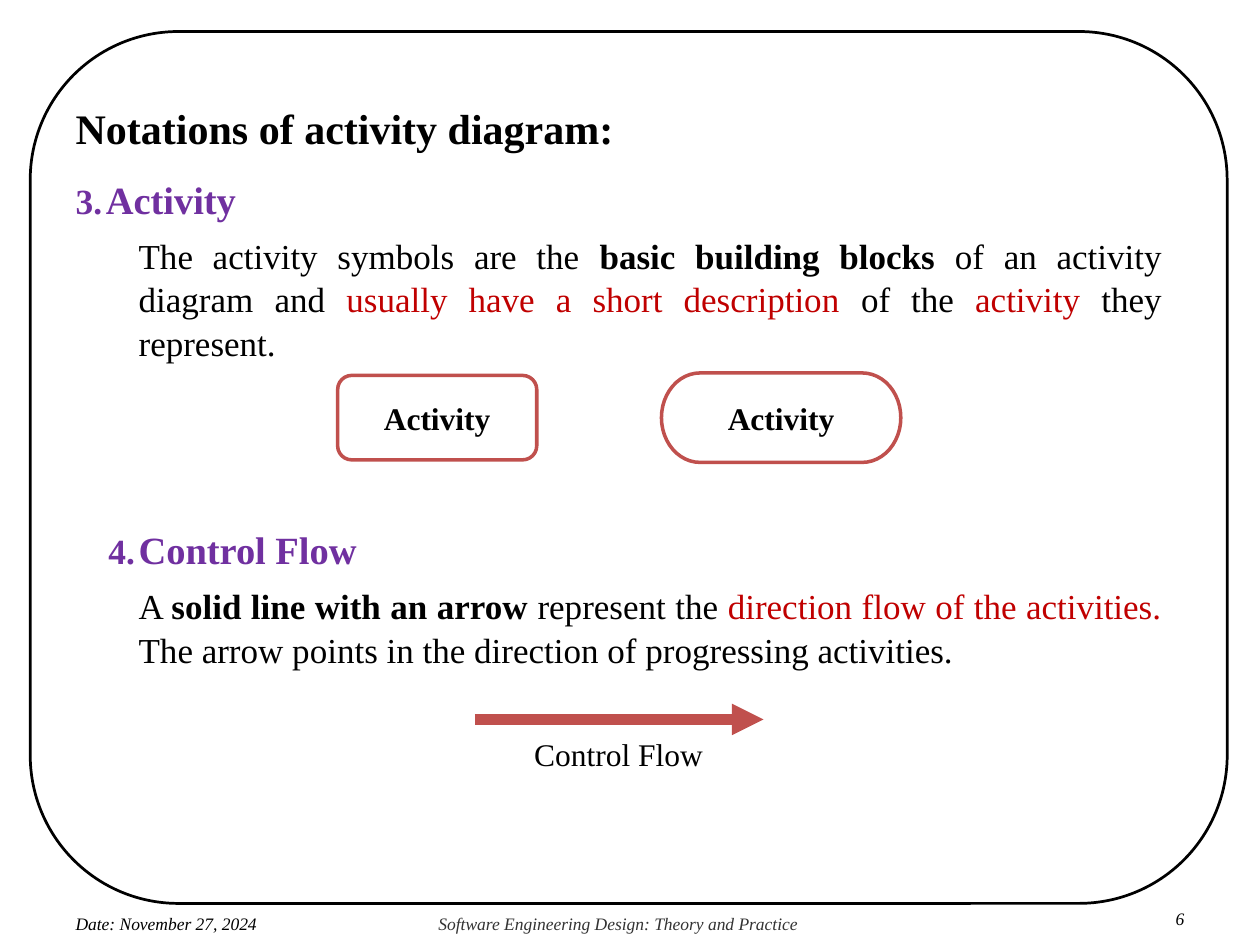
from dataclasses import dataclass

from lxml import etree
from pptx import Presentation
from pptx.dml.color import RGBColor
from pptx.enum.shapes import MSO_CONNECTOR, MSO_SHAPE
from pptx.enum.text import MSO_ANCHOR, PP_ALIGN
from pptx.oxml.ns import qn
from pptx.util import Inches, Pt

BLACK = RGBColor(0x00, 0x00, 0x00)
GRAY = RGBColor(0x33, 0x33, 0x33)
WHITE = RGBColor(0xFF, 0xFF, 0xFF)
PURPLE = RGBColor(0x70, 0x30, 0xA0)
RED = RGBColor(0xC0, 0x00, 0x00)
BRICK = RGBColor(0xC0, 0x50, 0x4D)

ROUNDED = MSO_SHAPE.ROUNDED_RECTANGLE
TERMINATOR = MSO_SHAPE.FLOWCHART_TERMINATOR
RECTANGLE = MSO_SHAPE.RECTANGLE
STRAIGHT = MSO_CONNECTOR.STRAIGHT
TOP = MSO_ANCHOR.TOP
MIDDLE = MSO_ANCHOR.MIDDLE
LEFT = PP_ALIGN.LEFT
CENTER = PP_ALIGN.CENTER
JUSTIFY = PP_ALIGN.JUSTIFY

FONT = "Times New Roman"
CELL = Inches(0.1)
COLUMNS, ROWS = 100, 75
HANGING = 2.4
INDENT = 5


@dataclass(frozen=True)
class Area:
    column: float
    row: float
    columns: float
    rows: float

    def lengths(self):
        return [round(CELL * cells) for cells in (self.column, self.row, self.columns, self.rows)]


@dataclass(frozen=True)
class Span:
    text: str
    color: RGBColor = BLACK
    bold: bool = False
    italic: bool = False


@dataclass(frozen=True)
class Para:
    spans: tuple[Span, ...]
    size: float
    after: float = 0
    align: PP_ALIGN = LEFT
    indent: float = 0
    number: int = 0
    spacing: float | Pt | None = None


@dataclass(frozen=True)
class Symbol:
    preset: MSO_SHAPE
    area: Area
    line: RGBColor
    label: Span


BODY = (
    Para((Span("Notations of activity diagram:", bold=True),), 24, 12, JUSTIFY, spacing=1.04),
    Para((Span("Activity", PURPLE, True),), 22, 6, JUSTIFY, HANGING, 3, 1.04),
    Para((
        Span("The activity symbols are the "),
        Span("basic building blocks ", bold=True),
        Span("of an activity diagram and "),
        Span("usually have a short description ", RED),
        Span("of the "),
        Span("activity", RED),
        Span(" they represent. "),
    ), 20, 92, JUSTIFY, INDENT, spacing=1.04),
    Para((Span("Control Flow", PURPLE, True),), 22, 6, JUSTIFY, INDENT, 4, 1.04),
    Para((
        Span("A "),
        Span("solid line with an arrow", bold=True),
        Span(" represent the "),
        Span("direction flow of the activities. ", RED),
        Span("The arrow points in the direction of progressing activities."),
    ), 20, 6, JUSTIFY, INDENT, spacing=1.04),
)

SYMBOLS = (
    Symbol(ROUNDED, Area(26.8, 29.8, 15.8, 6.7), BRICK, Span("Activity", bold=True)),
    Symbol(TERMINATOR, Area(52.5, 29.6, 19, 7.1), BRICK, Span("Activity", bold=True)),
    Symbol(RECTANGLE, Area(36.6, 58, 25, 3.7), WHITE, Span("Control Flow")),
)

FOOTERS = (
    (Area(5.9, 72.5, 15.8, 1.6), 0.1, Span("Date: November 27, 2024", italic=True)),
    (Area(34.7, 72.5, 28.9, 1.6), 0.1,
     Span("Software Engineering Design: Theory and Practice", GRAY, italic=True)),
    (Area(92.2, 72.1, 2.4, 1.6), 1.1, Span("6", italic=True)),
)


def add_numbering(properties, number: int) -> None:
    properties.set("indent", str(-round(CELL * HANGING)))
    color = etree.SubElement(properties, qn("a:buClr"))
    etree.SubElement(color, qn("a:srgbClr"), val=str(PURPLE))
    etree.SubElement(properties, qn("a:buSzPct"), val="92000")
    etree.SubElement(properties, qn("a:buFont"), typeface=FONT)
    etree.SubElement(properties, qn("a:buAutoNum"), type="arabicPeriod", startAt=str(number))


def write_para(target, para: Para) -> None:
    target.alignment = para.align
    target.space_after = Pt(para.after)
    if para.spacing:
        target.line_spacing = para.spacing
    properties = target._p.get_or_add_pPr()
    properties.set("marL", str(round(CELL * para.indent)))
    properties.set("indent", "0")
    if para.number:
        add_numbering(properties, para.number)
    for span in para.spans:
        run = target.add_run()
        run.text = span.text
        font = run.font
        font.name = FONT
        font.size = Pt(para.size)
        font.bold = span.bold
        font.italic = span.italic
        font.color.rgb = span.color


def add_text(slide, area: Area, paras: tuple[Para, ...]) -> None:
    frame = slide.shapes.add_textbox(*area.lengths()).text_frame
    frame.word_wrap = True
    frame.vertical_anchor = TOP
    frame.margin_left = frame.margin_right = frame.margin_top = frame.margin_bottom = 0
    for index, para in enumerate(paras):
        write_para(frame.add_paragraph() if index else frame.paragraphs[0], para)


def add_outline(slide, preset: MSO_SHAPE, area: Area, color: RGBColor, width: float):
    shape = slide.shapes.add_shape(preset, *area.lengths())
    shape.shadow.inherit = False
    shape.fill.solid()
    shape.fill.fore_color.rgb = WHITE
    shape.line.color.rgb = color
    shape.line.width = Pt(width)
    return shape


def add_symbol(slide, symbol: Symbol) -> None:
    shape = add_outline(slide, symbol.preset, symbol.area, symbol.line, 2)
    frame = shape.text_frame
    frame.word_wrap = True
    frame.vertical_anchor = MIDDLE
    write_para(frame.paragraphs[0], Para((symbol.label,), 18, align=CENTER))


def add_arrow(slide, start: float, end: float, row: float) -> None:
    left, top, right, bottom = Area(start, row, end, row).lengths()
    arrow = slide.shapes.add_connector(STRAIGHT, left, top, right, bottom)
    arrow.line.color.rgb = BRICK
    arrow.line.width = Pt(6)
    etree.SubElement(arrow.line._get_or_add_ln(), qn("a:tailEnd"), type="triangle")
    etree.SubElement(arrow._element.spPr, qn("a:effectLst"))


def main() -> None:
    deck = Presentation()
    deck.slide_width = CELL * COLUMNS
    deck.slide_height = CELL * ROWS
    slide = deck.slides.add_slide(deck.slide_layouts[6])
    border = add_outline(slide, ROUNDED, Area(2.4, 2.5, 95, 69.2), BLACK, 1.56)
    border.adjustments[0] = 0.17
    add_text(slide, Area(6, 8, 86.2, 57.3), BODY)
    for symbol in SYMBOLS:
        add_symbol(slide, symbol)
    add_arrow(slide, 37.7, 60.6, 57.1)
    for area, indent, span in FOOTERS:
        add_text(slide, area, (Para((span,), 10, indent=indent, spacing=Pt(11.8)),))
    deck.save("out.pptx")


if __name__ == "__main__":
    main()
